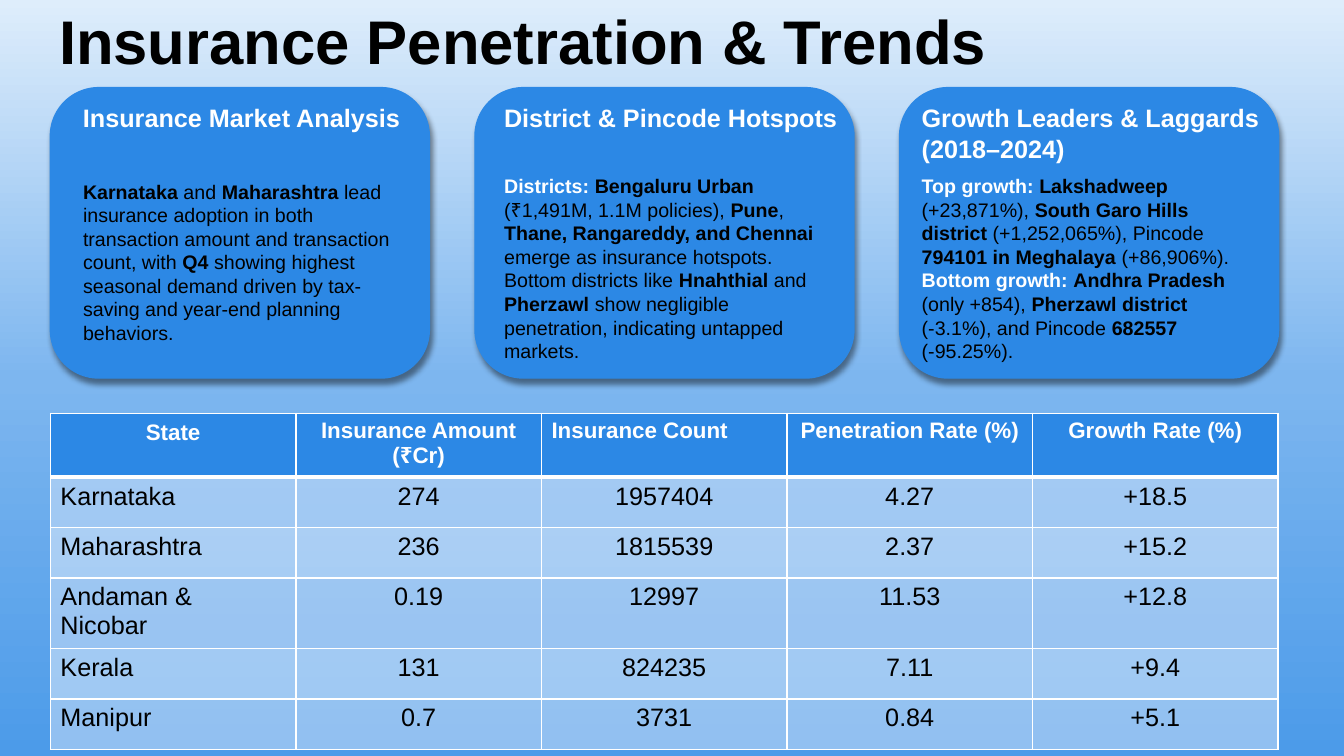
from pptx import Presentation
from pptx import util as u
from pptx.dml.color import RGBColor
from pptx.enum import shapes, text
from pptx.oxml import parse_xml
from pptx.oxml.ns import nsdecls, qn

WHITE = RGBColor(0xFF, 0xFF, 0xFF)
BLACK = RGBColor(0x00, 0x00, 0x00)
BLUE = RGBColor(0x2C, 0x88, 0xE5)
BANDS = [RGBColor(0xD7, 0xE5, 0xF9), RGBColor(0xEC, 0xF3, 0xFC)]
SKY = [
    (0, RGBColor(0xDE, 0xED, 0xFB)),
    (50, RGBColor(0x7D, 0xB6, 0xEF)),
    (100, RGBColor(0x4C, 0x9B, 0xE9)),
]
FONT = "Arial"
LEAD, KEY, PLAIN = (WHITE, True), (BLACK, True), (BLACK, False)
LEFT, CENTER = text.PP_ALIGN.LEFT, text.PP_ALIGN.CENTER

CARDS = [
    ("Insurance Market Analysis", 16.2, 62, [[
        ("Karnataka", KEY), (" and ", PLAIN), ("Maharashtra", KEY),
        (" lead insurance adoption in both transaction amount and "
         "transaction count, with ", PLAIN),
        ("Q4 ", KEY),
        ("showing highest seasonal demand driven by tax-saving and "
         "year-end planning behaviors.", PLAIN),
    ]]),
    ("District & Pincode Hotspots", 13.7, 58.3, [[
        ("Districts: ", LEAD), ("Bengaluru Urban", KEY),
        (" (₹1,491M, 1.1M policies), ", PLAIN), ("Pune", KEY), (", ", PLAIN),
        ("Thane, Rangareddy, and Chennai", KEY),
        (" emerge as insurance hotspots. Bottom districts like ", PLAIN),
        ("Hnahthial", KEY), (" and ", PLAIN), ("Pherzawl ", KEY),
        ("show negligible penetration, indicating untapped markets.", PLAIN),
    ]]),
    ("Growth Leaders & Laggards (2018–2024)", 8.7, 58.3, [
        [
            ("Top growth: ", LEAD), ("Lakshadweep ", KEY),
            ("(+23,871%), ", PLAIN), ("South Garo Hills district ", KEY),
            ("(+1,252,065%), Pincode ", PLAIN),
            ("794101 in Meghalaya", KEY), (" (+86,906%).", PLAIN),
        ],
        [
            ("Bottom growth: ", LEAD), ("Andhra Pradesh ", KEY),
            ("(only +854), ", PLAIN), ("Pherzawl district", KEY),
            (" (-3.1%), and Pincode ", PLAIN), ("682557", KEY),
            (" (-95.25%).", PLAIN),
        ],
    ]),
]

TABLE_ROWS = [
    ["State", "Insurance Amount (₹Cr)", "Insurance Count",
     "Penetration Rate (%)", "Growth Rate (%)"],
    ["Karnataka", "274", "1957404", "4.27", "+18.5"],
    ["Maharashtra", "236", "1815539", "2.37", "+15.2"],
    ["Andaman & Nicobar", "0.19", "12997", "11.53", "+12.8"],
    ["Kerala", "131", "824235", "7.11", "+9.4"],
    ["Manipur", "0.7", "3731", "0.84", "+5.1"],
]


def add_run(paragraph, words, size, style):
    """Append one run with the slide font and return it."""
    run = paragraph.add_run()
    run.text = words
    run.font.size = u.Pt(size)
    run.font.color.rgb, run.font.bold = style
    run.font.name = FONT
    return run


def make_shadow():
    """Return an effect list with a soft shadow below."""
    return parse_xml(
        f'<a:effectLst {nsdecls("a")}><a:outerShdw blurRad="{u.Pt(4)}" '
        f'dist="{u.Pt(4)}" dir="{75 * 60000}" algn="tl" rotWithShape="0">'
        f'<a:srgbClr val="{BLACK}"><a:alpha val="43000"/></a:srgbClr>'
        '</a:outerShdw></a:effectLst>')


def paint_background(slide):
    """Fill the slide with a vertical gradient."""
    stops = "".join(
        f'<a:gs pos="{position * 1000}"><a:srgbClr val="{color}"/></a:gs>'
        for position, color in SKY)
    slide.element.cSld.insert(0, parse_xml(
        f'<p:bg {nsdecls("p", "a")}><p:bgPr><a:gradFill rotWithShape="1">'
        f'<a:gsLst>{stops}</a:gsLst><a:lin ang="{90 * 60000}" scaled="0"/>'
        '</a:gradFill><a:effectLst/></p:bgPr></p:bg>'))


def add_title(slide, left, top, width, height):
    """Place the title placeholder in the given box."""
    title = slide.shapes.title
    title.left, title.top = u.Pt(left), u.Pt(top)
    title.width, title.height = u.Pt(width), u.Pt(height)
    frame = title.text_frame
    frame.auto_size = text.MSO_AUTO_SIZE.NONE
    frame.vertical_anchor = text.MSO_ANCHOR.MIDDLE
    paragraph = frame.paragraphs[0]
    paragraph.alignment = LEFT
    run = add_run(paragraph, "Insurance Penetration & Trends", 44, KEY)
    run.font._element.find(qn("a:solidFill")).addnext(make_shadow())


def add_text(slide, left, top, width, height, size, paragraphs):
    """Place a wrapped text box holding lists of styled runs."""
    box = slide.shapes.add_textbox(
        u.Pt(left), u.Pt(top), u.Pt(width), u.Pt(height))
    frame = box.text_frame
    frame.word_wrap = True
    for index, runs in enumerate(paragraphs):
        paragraph = frame.add_paragraph() if index else frame.paragraphs[0]
        for words, style in runs:
            add_run(paragraph, words, size, style)


def add_card(slide, left, top, width, height, card):
    """Draw a rounded card with its heading and body text."""
    heading, inset, body_drop, body = card
    shape = slide.shapes.add_shape(
        shapes.MSO_SHAPE.FLOWCHART_ALTERNATE_PROCESS,
        u.Pt(left), u.Pt(top), u.Pt(width), u.Pt(height))
    shape.fill.solid()
    shape.fill.fore_color.rgb = BLUE
    shape.line.color.rgb = BLUE
    shape.line.width = u.Pt(1)
    shape.shadow.inherit = False
    effects = shape.element.spPr.find(qn("a:effectLst"))
    effects.append(make_shadow()[0])
    add_text(slide, left + inset, top + 7.2, width + 8, 29, 18,
             [[(heading, LEAD)]])
    add_text(slide, left + inset, top + body_drop, 243.4, 142, 14, body)


def style_cell(cell, color, bottom_width):
    """Give a table cell its white borders and solid fill."""
    properties = cell._tc.get_or_add_tcPr()
    for side in "LRTB":
        line_width = bottom_width if side == "B" else 1
        properties.append(parse_xml(
            f'<a:ln{side} {nsdecls("a")} w="{u.Pt(line_width)}"><a:solidFill>'
            f'<a:srgbClr val="{WHITE}"/></a:solidFill></a:ln{side}>'))
    cell.fill.solid()
    cell.fill.fore_color.rgb = color


def add_state_table(slide, left, top, width, height):
    """Draw the table of states in equal columns and rows."""
    row_count, column_count = len(TABLE_ROWS), len(TABLE_ROWS[0])
    table = slide.shapes.add_table(
        row_count, column_count, u.Pt(left), u.Pt(top),
        u.Pt(width), u.Pt(height)).table
    for row, values in enumerate(TABLE_ROWS):
        for column, value in enumerate(values):
            cell = table.cell(row, column)
            paragraph = cell.text_frame.paragraphs[0]
            paragraph.alignment = CENTER
            if row == 0:
                style_cell(cell, BLUE, 3)
                add_run(paragraph, value, 16, LEAD)
                continue
            style_cell(cell, BANDS[(row - 1) % 2], 1)
            for color in cell._tc.tcPr.find(qn("a:solidFill")):
                color.append(parse_xml(
                    f'<a:alpha {nsdecls("a")} val="50000"/>'))
            add_run(paragraph, value, 18, PLAIN)
            if column == 0:
                paragraph.alignment = LEFT
    table.cell(0, 0).margin_top = u.Pt(5)
    table.cell(0, 2).text_frame.paragraphs[0].alignment = LEFT


def main():
    """Build the slide and save the presentation."""
    presentation = Presentation()
    presentation.slide_width, presentation.slide_height = u.Pt(960), u.Pt(540)
    slide = presentation.slides.add_slide(presentation.slide_layouts[5])
    paint_background(slide)
    add_title(slide, 35, 0.7, 808, 55.5)
    for index, card in enumerate(CARDS):
        add_card(slide, 36 + index * 303.3, 62.6, 270.7, 207.4, card)
    add_state_table(slide, 36, 295.2, 877, 216)
    presentation.save("out.pptx")


if __name__ == "__main__":
    main()
